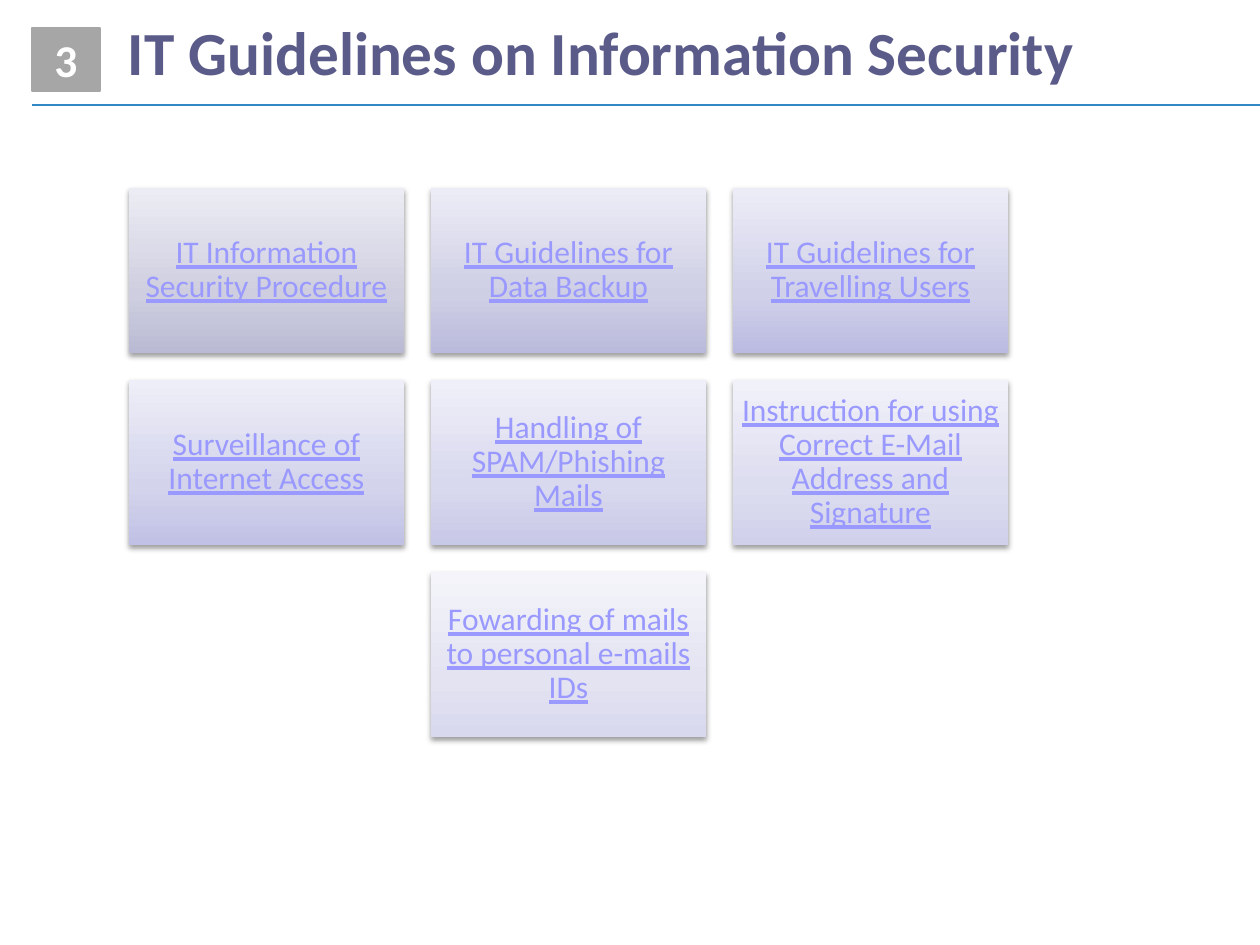
from copy import deepcopy
from dataclasses import dataclass

from lxml import etree
from pptx import Presentation
from pptx.dml.color import RGBColor
from pptx.enum.shapes import MSO_CONNECTOR, MSO_SHAPE
from pptx.enum.text import MSO_ANCHOR, PP_ALIGN
from pptx.oxml.ns import qn
from pptx.util import Emu, Pt

RECT = MSO_SHAPE.RECTANGLE
STRAIGHT = MSO_CONNECTOR.STRAIGHT
MIDDLE = MSO_ANCHOR.MIDDLE
LEFT, CENTER = PP_ALIGN.LEFT, PP_ALIGN.CENTER

FONT = "Calibri"
WHITE = RGBColor(0xFF, 0xFF, 0xFF)
BLACK = RGBColor(0x00, 0x00, 0x00)
GRAY = RGBColor(0xA6, 0xA6, 0xA6)
BLUE = RGBColor(0x32, 0x88, 0xC4)
TITLE_COLOR = RGBColor(0x5B, 0x5B, 0x89)
LINK_COLOR = RGBColor(0x99, 0x99, 0xFF)

# Card grid, in px
COLUMNS = 3
CARD_LEFT, CARD_TOP = 129, 188
CARD_W, CARD_H, CARD_GAP = 275, 165, 27
STOPS = (0, 0.35, 1)


@dataclass
class Card:
    text: str
    bottom: RGBColor
    middle: RGBColor
    top: RGBColor


def card(text: str, *colors: str) -> Card:
    return Card(text, *map(RGBColor.from_string, colors))


ROWS = [
    [card("IT Information Security Procedure", "BABAD4", "CECEE0", "ECECF4"),
     card("IT Guidelines for Data Backup", "BABADC", "CECEE5", "ECECF6"),
     card("IT Guidelines for Travelling Users", "BBBBE2", "D0D0E9", "ECECF7")],
    [card("Surveillance of Internet Access", "C1C1E5", "D3D3EC", "EEEEF8"),
     card("Handling of SPAM/Phishing Mails", "C8C8E7", "D8D8EE", "EFEFF9"),
     card("Instruction for using Correct E-Mail Address and Signature",
          "D0D0EB", "DDDDF0", "F1F1FA")],
    [card("Fowarding of mails to personal e-mails IDs",
          "D8D8EE", "E3E3F2", "F4F4FA")],
]


def px(n: int) -> Emu:
    return Emu(round(n * 914400 / 126))


def set_text(s, text: str, size: int, color: RGBColor, inset: int, align=CENTER,
             spacing: float = 1.0, bold: bool = False, underline: bool = False) -> None:
    tf = s.text_frame
    tf.text = text
    tf.word_wrap = True
    tf.vertical_anchor = MIDDLE
    tf.margin_left = tf.margin_right = tf.margin_top = tf.margin_bottom = px(inset)
    p = tf.paragraphs[0]
    p.alignment = align
    p.line_spacing = spacing
    font = p.runs[0].font
    font.name, font.size = FONT, Pt(size)
    font.bold, font.underline = bold, underline
    font.color.rgb = color


def add_box(slide, x: int, y: int, w: int, h: int):
    s = slide.shapes.add_shape(RECT, px(x), px(y), px(w), px(h))
    s.shadow.inherit = False
    return s


def add_shadow(s) -> None:
    effects = s._element.spPr.find(qn("a:effectLst"))
    shadow = etree.SubElement(effects, qn("a:outerShdw"), blurRad="40000",
                              dist="20000", dir="5400000", rotWithShape="0")
    color = etree.SubElement(shadow, qn("a:srgbClr"), val=str(BLACK))
    etree.SubElement(color, qn("a:alpha"), val="38000")


def add_card(slide, c: Card, x: int, y: int) -> None:
    s = add_box(slide, x, y, CARD_W, CARD_H)
    s.line.fill.background()
    s.fill.gradient()
    s.fill.gradient_angle = 90
    # The default gradient has two stops; a third is needed
    stop_list = s._element.spPr.find(qn("a:gradFill")).find(qn("a:gsLst"))
    stop_list.append(deepcopy(stop_list[0]))
    colors = (c.bottom, c.middle, c.top)
    for stop, position, color in zip(s.fill.gradient_stops, STOPS, colors):
        stop.position = position
        stop.color.rgb = color
    add_shadow(s)
    set_text(s, c.text, 18, LINK_COLOR, 9, spacing=0.9, underline=True)


def add_rule(slide, x1: int, x2: int, y: int) -> None:
    line = slide.shapes.add_connector(STRAIGHT, px(x1), px(y), px(x2), px(y))
    line.line.color.rgb = BLUE
    line.line.width = Pt(0.75)
    etree.SubElement(line._element.spPr, qn("a:effectLst"))


def main() -> None:
    prs = Presentation()
    prs.slide_width, prs.slide_height = px(1260), px(945)
    slide = prs.slides.add_slide(prs.slide_layouts[5])

    # Header: rule, title and number
    add_rule(slide, 32, 1260, 105)
    title = slide.shapes.title
    title.left, title.top, title.width, title.height = map(px, (115, 9, 1143, 97))
    set_text(title, "IT Guidelines on Information Security", 35, TITLE_COLOR, 13,
             align=LEFT, spacing=0.8, bold=True)
    number = add_box(slide, 32, 28, 68, 63)
    number.fill.solid()
    number.fill.fore_color.rgb = GRAY
    number.line.color.rgb = GRAY
    number.line.width = Pt(0.75)
    set_text(number, "3", 26, WHITE, 0, bold=True)

    # Cards, each row centred in the grid
    for i, row in enumerate(ROWS):
        first = (COLUMNS - len(row)) // 2
        for j, c in enumerate(row, first):
            add_card(slide, c, CARD_LEFT + j * (CARD_W + CARD_GAP),
                     CARD_TOP + i * (CARD_H + CARD_GAP))

    prs.save("out.pptx")


if __name__ == "__main__":
    main()
